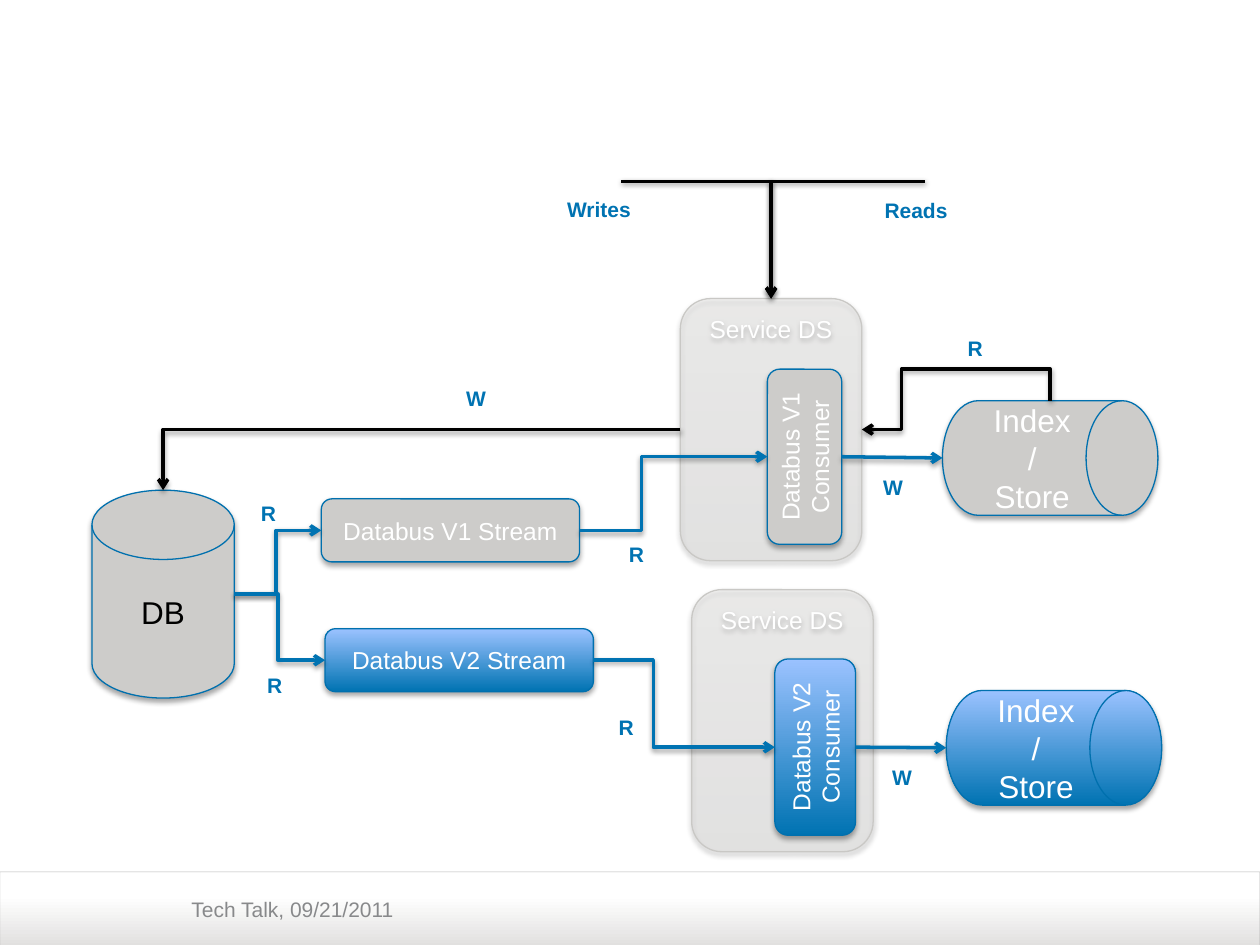
from dataclasses import dataclass

from lxml import etree
from pptx import Presentation
from pptx.dml.color import RGBColor
from pptx.enum.shapes import MSO_CONNECTOR, MSO_SHAPE
from pptx.enum.text import MSO_ANCHOR, PP_ALIGN
from pptx.oxml.ns import qn
from pptx.util import Inches, Pt

CENTER, LEFT = PP_ALIGN.CENTER, PP_ALIGN.LEFT
TOP, MIDDLE = MSO_ANCHOR.TOP, MSO_ANCHOR.MIDDLE
ROUNDED = MSO_SHAPE.ROUNDED_RECTANGLE
DISK = MSO_SHAPE.FLOWCHART_MAGNETIC_DISK
DRUM = MSO_SHAPE.FLOWCHART_DIRECT_ACCESS_STORAGE
FOOTER_SHAPE = MSO_SHAPE.ROUND_2_SAME_RECTANGLE
ELBOW, STRAIGHT = MSO_CONNECTOR.ELBOW, MSO_CONNECTOR.STRAIGHT

COLUMNS, ROWS = 100, 75
CELL = Inches(10) / COLUMNS

BLUE, BLACK, WHITE, GRAY = "0073B2", "000000", "FFFFFF", "CDCCCA"
EDGE, SERVICE_EDGE = "0070AE", "C9C8C5"
BLUE_FADE = ((0, BLUE), (1, "9BC2FF"))
SERVICE_FADE = ((0, GRAY), (1, "E9E8E5"))
FOOTER_FADE = ((0, "E1E0DF"), (0.68, WHITE))


@dataclass
class Box:
    """A rectangle in grid columns and rows."""
    left: float
    top: float
    width: float
    height: float

    def inner(self, left, top, width, height):
        """A box placed from this one's top left corner."""
        return Box(self.left + left, self.top + top, width, height)

    def at(self, across, down):
        """The point at these shares of the width and height."""
        return self.left + across * self.width, self.top + down * self.height

    def emu(self):
        return [grid(n) for n in (self.left, self.top, self.width, self.height)]


def grid(cells):
    return round(cells * CELL)


def color(value):
    return RGBColor.from_string(value)


def set_alpha(element, percent):
    for node in element.iter(qn("a:srgbClr")):
        etree.SubElement(node, qn("a:alpha"), val=str(percent * 1000))


def add_shadow(effects, percent, distance):
    shadow = etree.SubElement(effects, qn("a:outerShdw"), blurRad=str(Pt(3.1)),
                              dist=str(Pt(distance)), dir="5400000", rotWithShape="0")
    etree.SubElement(shadow, qn("a:srgbClr"), val=BLACK)
    set_alpha(shadow, percent)


def write(frame, text, size=14, ink=WHITE, bold=False, align=CENTER, anchor=MIDDLE):
    frame.word_wrap = True
    frame.vertical_anchor = anchor
    for number, line in enumerate(text.split("\n")):
        para = frame.paragraphs[0] if number == 0 else frame.add_paragraph()
        para.alignment = align
        span = para.add_run()
        span.text = line
        span.font.name = "Arial"
        span.font.size = Pt(size)
        span.font.bold = bold
        span.font.color.rgb = color(ink)


def add_label(page, box, text, **style):
    frame = page.shapes.add_textbox(*box.emu()).text_frame
    frame.margin_left = frame.margin_right = 0
    write(frame, text, size=12, align=LEFT, anchor=TOP, **style)


def add_tag(page, point, text, width=2.5):
    add_label(page, Box(*point, width, 3.1), text, ink=BLUE, bold=True)


def add_block(page, kind, box, fill, edge=EDGE, width=0.75, alpha=None, shadow=True):
    block = page.shapes.add_shape(kind, *box.emu())
    properties = block.element.spPr
    if isinstance(fill, str):
        block.fill.solid()
        block.fill.fore_color.rgb = color(fill)
    else:
        block.fill.gradient()
        block.fill.gradient_angle = 90
        for stop, (position, tint) in zip(block.fill.gradient_stops, fill):
            stop.position = position
            stop.color.rgb = color(tint)
    if alpha:
        set_alpha(properties, alpha)
    block.line.color.rgb = color(edge)
    block.line.width = Pt(width)
    block.shadow.inherit = False
    if shadow:
        add_shadow(properties.find(qn("a:effectLst")), 35, 1.8)
    return block


def add_arrow(page, start, end, ink=BLUE, kind=ELBOW, preset=None, bends=(), tip="tailEnd"):
    """Draw an arrow; bends are shares of its width and height where it turns."""
    arrow = page.shapes.add_connector(kind, *[grid(n) for n in (*start, *end)])
    arrow.line.color.rgb = color(ink)
    arrow.line.width = Pt(2)
    properties = arrow.element.spPr
    etree.SubElement(properties.find(qn("a:ln")), qn("a:" + tip), type="arrow")
    geometry = properties.find(qn("a:prstGeom"))
    if preset:
        geometry.set("prst", preset)
    guides = geometry.find(qn("a:avLst"))
    for number, share in enumerate(bends, 1):
        etree.SubElement(guides, qn("a:gd"), name=f"adj{number}",
                         fmla=f"val {round(share * 100000)}")
    add_shadow(etree.SubElement(properties, qn("a:effectLst")), 38, 1.6)


def add_pipeline(page, service, stream, consumer, index, version, fill, gap=" "):
    """Draw a stream feeding a service's consumer, which writes to an index."""
    block = add_block(page, ROUNDED, service, SERVICE_FADE, SERVICE_EDGE, alpha=25)
    write(block.text_frame, "Service DS", anchor=TOP)
    block = add_block(page, ROUNDED, stream, fill)
    write(block.text_frame, f"Databus {version} Stream")
    block = add_block(page, DRUM, index, fill)
    write(block.text_frame, "Index/Store", size=18)
    block = add_block(page, ROUNDED, consumer, fill)
    write(block.text_frame, f"Databus {version}{gap}Consumer")
    block.element.txBody.find(qn("a:bodyPr")).set("vert", "vert270")
    add_arrow(page, stream.at(1, 0.5), consumer.at(0, 0.5), bends=[0.33])
    add_arrow(page, consumer.at(1, 0.5), index.at(0, 0.5), kind=STRAIGHT)


def add_database(page, box, streams):
    write(add_block(page, DISK, box, GRAY).text_frame, "DB", size=18, ink=BLACK)
    for stream in streams:
        add_arrow(page, box.at(1, 0.5), stream.at(0, 0.5), bends=[0.48])


def add_requests(page, box, service, database, index):
    """Draw the reads and writes that enter the service and go on to storage."""
    entry = service.at(0.5, 0)
    for side in (0, 1):
        add_arrow(page, box.at(side, 0), entry, BLACK, preset="bentConnector2")
    add_arrow(page, service.at(0, 0.5), database.at(0.5, 0), BLACK, preset="bentConnector2")
    add_arrow(page, service.at(1, 0.5), index.at(0.5, 0), BLACK, preset="bentConnector4",
              bends=[0.21, 2.09], tip="headEnd")
    add_tag(page, (box.left - 4.3, box.top + 0.7), "Writes", width=6.1)
    add_tag(page, (box.left + 20.9, box.top + 0.8), "Reads", width=9.8)


def add_footer(page, box):
    bar = add_block(page, FOOTER_SHAPE, box, FOOTER_FADE, "A6A6A6", 0.25, shadow=False)
    bar.adjustments[0] = bar.adjustments[1] = 0
    set_alpha(bar.element.spPr.find(qn("a:ln")), 79)
    add_label(page, box.inner(15.2, 1.5, 31, 3.4), "Tech Talk, 09/21/2011", ink="88898B")


def main():
    deck = Presentation()
    deck.slide_width, deck.slide_height = grid(COLUMNS), grid(ROWS)
    page = deck.slides.add_slide(deck.slide_layouts[6])
    add_footer(page, Box(0, 69.2, COLUMNS, 5.9))

    first = Box(54, 23.7, 14.4, 20.8)
    second = Box(54.9, 46.8, 14.4, 20.8)
    streams = [Box(25.5, 39.6, 20.5, 5), Box(25.8, 49.9, 21.3, 5)]
    index = first.inner(20.8, 8.1, 17.1, 9.1)
    database = Box(7.3, 38.9, 11.3, 16.5)
    add_pipeline(page, first, streams[0], first.inner(6.9, 5.6, 5.9, 13.9), index,
                 "V1", GRAY, gap="\n")
    add_pipeline(page, second, streams[1], second.inner(6.6, 5.5, 6.4, 14),
                 second.inner(20.2, 8, 17.1, 9.1), "V2", BLUE_FADE)
    add_database(page, database, streams)
    add_requests(page, Box(49.3, 14.4, 24.1, 9.3), first, database, index)

    tags = {"W": [(37, 30.1), (70.1, 37.2), (70.8, 60.2)],
            "R": [(20.7, 39.2), (21.2, 52.9), (49.1, 56.2), (49.9, 42.5), (76.8, 26.1)]}
    for text, points in tags.items():
        for point in points:
            add_tag(page, point, text)
    deck.save("out.pptx")


if __name__ == "__main__":
    main()
